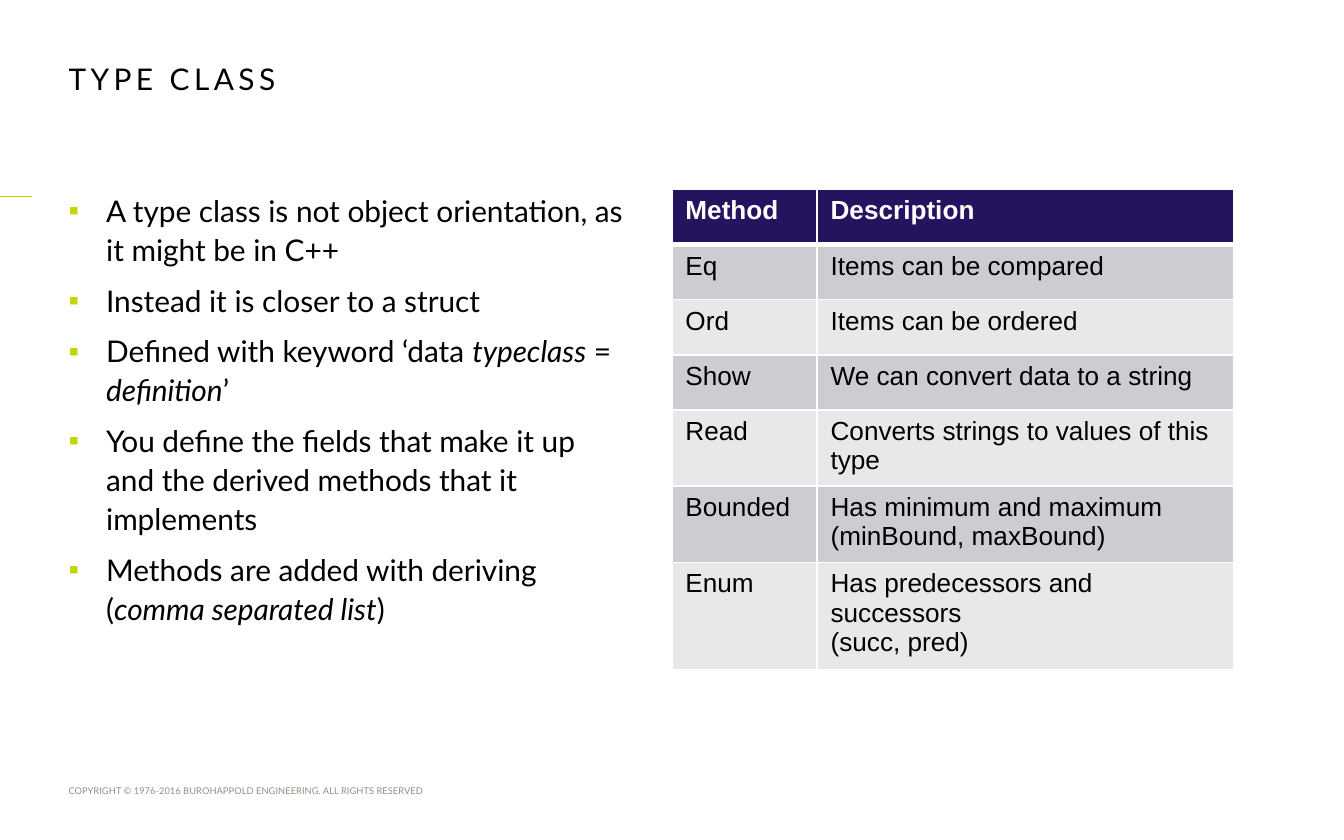
from lxml.etree import SubElement
from pptx import Presentation
from pptx.dml.color import RGBColor
from pptx.enum.shapes import MSO_CONNECTOR
from pptx.oxml.ns import qn
from pptx.util import Inches, Pt

COLORS = {
    "text": "000000", "white": "FFFFFF", "accent": "C4D600", "footer": "968C83",
    "header": "24135F", "odd_row": "CDCCD2", "even_row": "E8E7EA",
}

TITLE = "TYPE CLASS"
FOOTER = "COPYRIGHT © 1976-2016 BUROHAPPOLD ENGINEERING. ALL RIGHTS RESERVED"
# Each point is a list of runs that alternate between upright and italic
POINTS = [
    ["A type class is not object orientation, as it might be in C++"],
    ["Instead it is closer to a struct"],
    ["Defined with keyword ‘data ", "typeclass", " = ", "definition", "’"],
    ["You define the fields that make it up and the derived methods that it implements"],
    ["Methods are added with deriving (", "comma separated list", ")"],
]
METHODS = [
    ("Method", ["Description"]),
    ("Eq", ["Items can be compared"]),
    ("Ord", ["Items can be ordered"]),
    ("Show", ["We can convert data to a string"]),
    ("Read", ["Converts strings to values of this type"]),
    ("Bounded", ["Has minimum and maximum", "(minBound, maxBound)"]),
    ("Enum", ["Has predecessors and successors", "(succ, pred)"]),
]
LEFT, CONTENT_TOP, COLUMN_WIDTH = 0.51, 1.41, 4.18
TABLE_LEFT, TABLE_COLUMNS, ROW_HEIGHT = 5, (1.08, 3.1), 0.41


def rgb(name):
    return RGBColor.from_string(COLORS[name])


def add_bullet(paragraph):
    props = paragraph._p.get_or_add_pPr()
    props.set("marL", str(Inches(0.28)))
    props.set("indent", str(-Inches(0.28)))
    SubElement(SubElement(props, qn("a:buClr")), qn("a:srgbClr"), val=COLORS["accent"])
    SubElement(props, qn("a:buFont"), typeface="Arial")
    SubElement(props, qn("a:buChar"), char="▪")
    paragraph.line_spacing = Pt(21)
    paragraph.space_after = Pt(6)


def write(frame, paragraphs, size=16, font="Lato", color="text", bold=False,
          spacing=0, bullets=False):
    """Fill a text frame; each paragraph is a list of upright and italic runs."""
    frame.word_wrap = True
    for i, runs in enumerate(paragraphs):
        paragraph = frame.add_paragraph() if i else frame.paragraphs[0]
        if bullets:
            add_bullet(paragraph)
        for j, text in enumerate(runs):
            run = paragraph.add_run()
            run.text = text
            run.font.size, run.font.name = Pt(size), font
            run.font.bold, run.font.italic = bold, j % 2 == 1
            run.font.color.rgb = rgb(color)
            if spacing:
                run.font._element.set("spc", str(round(spacing * 100)))


def add_text(slide, left, top, width, height, paragraphs, **text_format):
    frame = slide.shapes.add_textbox(
        Inches(left), Inches(top), Inches(width), Inches(height)).text_frame
    frame.margin_left = frame.margin_right = frame.margin_top = frame.margin_bottom = 0
    write(frame, paragraphs, **text_format)


def set_borders(cell, **widths):
    props = cell._tc.get_or_add_tcPr()
    for side in "LRTB":
        line = SubElement(props, qn(f"a:ln{side}"), w=str(Pt(widths.get(side, 1))))
        fill = SubElement(line, qn("a:solidFill"))
        SubElement(fill, qn("a:srgbClr"), val=COLORS["white"])


presentation = Presentation()
presentation.slide_width, presentation.slide_height = Inches(10), Inches(6.25)
slide = presentation.slides.add_slide(presentation.slide_layouts[6])

# Footer and margin rule
add_text(slide, LEFT, 5.84, 3.15, 0.08, [[FOOTER]], size=5, color="footer")
margin_rule = slide.shapes.add_connector(
    MSO_CONNECTOR.STRAIGHT, 0, Inches(1.46), Inches(0.24), Inches(1.46))
margin_rule.line.color.rgb = rgb("accent")
margin_rule.line.width = Pt(0.5)
SubElement(margin_rule._element.spPr, qn("a:effectLst"))

# Title and bullet points
add_text(slide, LEFT, 0.45, 5.98, 0.27, [[TITLE]], spacing=2.4)
add_text(slide, LEFT, CONTENT_TOP, COLUMN_WIDTH, 4.08, POINTS, bullets=True)

# Table of methods
methods = slide.shapes.add_table(
    len(METHODS), len(TABLE_COLUMNS), Inches(TABLE_LEFT), Inches(CONTENT_TOP),
    Inches(COLUMN_WIDTH), Inches(ROW_HEIGHT * len(METHODS))).table
for column, width in zip(methods.columns, TABLE_COLUMNS):
    column.width = Inches(width)
for r, (method, description) in enumerate(METHODS):
    methods.rows[r].height = Inches(ROW_HEIGHT)
    is_header = r == 0
    row_fill = "header" if is_header else ("even_row", "odd_row")[r % 2]
    for c, lines in enumerate(([method], description)):
        cell = methods.cell(r, c)
        set_borders(cell, T=3 if r == 1 else 1, B=3 if is_header else 1)
        cell.fill.solid()
        cell.fill.fore_color.rgb = rgb(row_fill)
        write(cell.text_frame, [[line] for line in lines], size=14, font="Arial",
              color="white" if is_header else "text", bold=is_header)

presentation.save("out.pptx")
